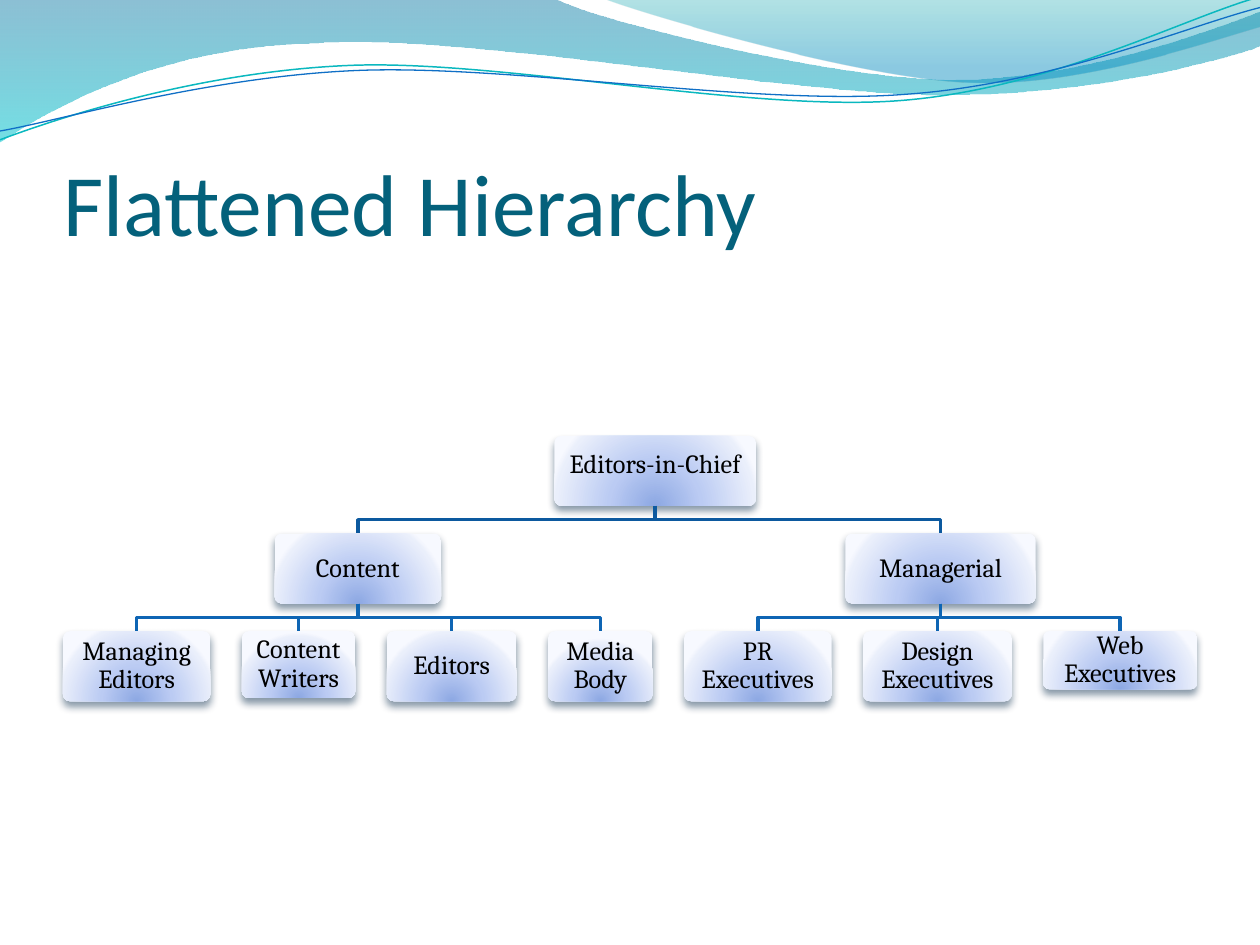
from dataclasses import dataclass

from pptx import Presentation
from pptx.dml.color import RGBColor
from pptx.enum.shapes import MSO_SHAPE as Shape
from pptx.enum.text import MSO_ANCHOR as Anchor, MSO_AUTO_SIZE as AutoSize, PP_ALIGN as Align
from pptx.oxml import parse_xml
from pptx.oxml.ns import nsdecls, qn
from pptx.util import Inches, Pt

SLIDE_W, SLIDE_H = 10, 7.5
MARGIN = SLIDE_W / 20
LEAF_GAP = SLIDE_W / 40
TREE_TOP, ROW_STEP = 3.46, 0.775
BOX_H = 0.555

BLACK = RGBColor(0x00, 0x00, 0x00)
TITLE_TEAL = RGBColor(0x04, 0x61, 0x7B)
SHADOW_NAVY = RGBColor(0x04, 0x27, 0x47)
BRANCH_COLORS = [RGBColor(0x0C, 0x59, 0x9F), RGBColor(0x0E, 0x65, 0xB4)]
TEAL_LINE = RGBColor(0x0A, 0xB8, 0xBF)
BLUE_LINE = RGBColor(0x0F, 0x6F, 0xC6)

BOX_STOPS = [
    (0, RGBColor(0x8D, 0xA8, 0xE3), 100),
    (43, RGBColor(0xBB, 0xCB, 0xF3), 100),
    (93, RGBColor(0xEA, 0xEF, 0xFB), 100),
    (100, RGBColor(0xF7, 0xF9, 0xFF), 100),
]
BOX_GLOW = ('<a:path path="circle"><a:fillToRect l="50000" t="130000" '
            'r="50000" b="-30000"/></a:path>')
DOWNWARD = '<a:lin ang="5400000" scaled="0"/>'

BROAD_STOPS = [(0, RGBColor(0x00, 0x74, 0xA1), 45), (100, RGBColor(0x00, 0xC6, 0xCF), 55)]
BROAD_WAVE = [
    (0, 0), (4.4, -0.01),
    (4.76, 0.17, 6.64, 0.63, 7.58, 0.63), (8.53, 0.63, 9.58, 0.26, 10, 0.09),
    (10.01, 0.36),
    (9.83, 0.44, 8.7, 0.76, 7.46, 0.75), (6.22, 0.75, 3.82, 0.28, 2.57, 0.34),
    (1.29, 0.36, 0.46, 0.83, -0.01, 1.13),
]
CORNER_STOPS = [(0, RGBColor(0x00, 0xA1, 0xA9), 30), (80, RGBColor(0x00, 0x8B, 0xBF), 45)]
CORNER_WAVE = [
    (4.79, -0.01),
    (5.09, 0.11, 6.82, 0.62, 7.69, 0.65), (8.56, 0.69, 9.61, 0.32, 10, 0.21),
    (10, 0),
]
TEAL_WAVE = [
    (0, 1.11),
    (0.48, 0.93, 1.58, 0.57, 2.77, 0.52), (3.95, 0.47, 5.93, 0.89, 7.13, 0.8),
    (8.33, 0.71, 9.38, 0.15, 9.98, -0.02),
]
BLUE_WAVE = [
    (0, 1.04),
    (0.47, 0.96, 1.64, 0.61, 2.83, 0.56), (4.03, 0.51, 5.97, 0.84, 7.17, 0.75),
    (8.36, 0.67, 9.41, 0.21, 10, 0.06),
]


@dataclass
class Role:
    label: str
    width: float
    reports: tuple = ()
    height: float = BOX_H
    inset: float = 0.06
    lift: float = 0
    left: float = 0

    @property
    def center(self):
        return self.left + self.width / 2


def staff_tree():
    content = Role("Content", 1.32, (
        Role("Managing Editors", 1.17), Role("Content Writers", 0.9, height=0.53),
        Role("Editors", 1.03), Role("Media Body", 0.83)))
    managerial = Role("Managerial", 1.51, (
        Role("PR Executives", 1.17), Role("Design Executives", 1.18),
        Role("Web Executives", 1.22, height=0.46)))
    return Role("Editors-in-Chief", 1.6, (content, managerial), inset=0.04, lift=0.09)


def arrange(role, next_left=MARGIN):
    if not role.reports:
        role.left = next_left
        return next_left + role.width + LEAF_GAP
    for report in role.reports:
        next_left = arrange(report, next_left)
    first, last = role.reports[0], role.reports[-1]
    role.left = (first.left + last.left + last.width - role.width) / 2
    return next_left


def set_gradient(shape, stops, direction):
    shape.fill.gradient()
    properties = shape._element.spPr
    stop_xml = "".join(
        f'<a:gs pos="{pos * 1000}"><a:srgbClr val="{color}">'
        f'<a:alpha val="{alpha * 1000}"/></a:srgbClr></a:gs>'
        for pos, color, alpha in stops)
    gradient = parse_xml(f'<a:gradFill {nsdecls("a")} rotWithShape="1">'
                         f'<a:gsLst>{stop_xml}</a:gsLst>{direction}</a:gradFill>')
    properties.replace(properties.find(qn("a:gradFill")), gradient)


def add_drop_shadow(shape):
    effects = shape._element.spPr.find(qn("a:effectLst"))
    effects.append(parse_xml(
        f'<a:outerShdw {nsdecls("a")} blurRad="{Pt(4.5)}" dist="{Pt(3)}" dir="5400000" '
        f'algn="t" rotWithShape="0"><a:srgbClr val="{SHADOW_NAVY}">'
        f'<a:alpha val="48000"/></a:srgbClr></a:outerShdw>'))


def bend_segments(outline, segments):
    lines = list(outline._element.iter(qn("a:lnTo")))
    for line, segment in zip(lines, segments):
        if len(segment) == 2:
            continue
        points = "".join(
            f'<a:pt x="{Inches(x) - outline.left}" y="{Inches(y) - outline.top}"/>'
            for x, y in zip(segment[::2], segment[1::2]))
        curve = parse_xml(f'<a:cubicBezTo {nsdecls("a")}>{points}</a:cubicBezTo>')
        line.getparent().replace(line, curve)


def add_outline(slide, segments, close):
    start, *ends = [(Inches(s[-2]), Inches(s[-1])) for s in segments]
    builder = slide.shapes.build_freeform(*start)
    builder.add_line_segments(ends, close=close)
    outline = builder.convert_to_shape()
    bend_segments(outline, segments[1:])
    outline.shadow.inherit = False
    return outline


def add_wave(slide, segments, stops):
    wave = add_outline(slide, segments, close=True)
    set_gradient(wave, stops, DOWNWARD)
    wave.line.fill.background()


def add_stroke(slide, segments, color, width):
    stroke = add_outline(slide, segments, close=False)
    stroke.fill.background()
    stroke.line.color.rgb = color
    stroke.line.width = Pt(width)


def add_title(slide, text):
    title = slide.shapes.title
    title.left, title.top = Inches(MARGIN), Inches(0.77)
    title.width, title.height = Inches(SLIDE_W - 2 * MARGIN), Inches(SLIDE_H / 6)
    frame = title.text_frame
    frame.text = text
    frame.auto_size = AutoSize.NONE
    frame.vertical_anchor = Anchor.BOTTOM
    frame.margin_left = frame.margin_right = frame.margin_bottom = 0
    frame.margin_top = Inches(0.05)
    paragraph = frame.paragraphs[0]
    paragraph.alignment = Align.LEFT
    paragraph.font.name, paragraph.font.size = "Calibri", Pt(50)
    paragraph.font.color.rgb = TITLE_TEAL


def add_role_box(slide, role, top):
    box = slide.shapes.add_shape(Shape.ROUNDED_RECTANGLE, Inches(role.left), Inches(top),
                                 Inches(role.width), Inches(role.height))
    box.adjustments[0] = 0.1
    box.line.fill.background()
    box.shadow.inherit = False
    set_gradient(box, BOX_STOPS, BOX_GLOW)
    add_drop_shadow(box)
    frame = box.text_frame
    frame.text = role.label
    frame.word_wrap = True
    frame.vertical_anchor = Anchor.MIDDLE
    frame.margin_left = frame.margin_right = frame.margin_top = Inches(role.inset)
    frame.margin_bottom = Inches(role.inset + role.lift)
    paragraph = frame.paragraphs[0]
    paragraph.alignment = Align.CENTER
    paragraph.line_spacing = 0.9
    paragraph.font.name, paragraph.font.size = "Cambria", Pt(15)
    paragraph.font.color.rgb = BLACK


def add_branch(slide, role, level=0):
    top = TREE_TOP + level * ROW_STEP
    add_role_box(slide, role, top)
    bottom, next_top = top + role.height, top + ROW_STEP
    middle = (bottom + next_top) / 2
    for report in role.reports:
        elbow = [(role.center, bottom), (role.center, middle),
                 (report.center, middle), (report.center, next_top)]
        add_stroke(slide, elbow, BRANCH_COLORS[level], 2)
        add_branch(slide, report, level + 1)


def main():
    deck = Presentation()
    deck.slide_width, deck.slide_height = Inches(SLIDE_W), Inches(SLIDE_H)
    slide = deck.slides.add_slide(deck.slide_layouts.get_by_name("Title Only"))
    add_wave(slide, BROAD_WAVE, BROAD_STOPS)
    add_wave(slide, CORNER_WAVE, CORNER_STOPS)
    add_stroke(slide, TEAL_WAVE, TEAL_LINE, 0.85)
    add_stroke(slide, BLUE_WAVE, BLUE_LINE, 0.75)
    add_title(slide, "Flattened Hierarchy")
    chief = staff_tree()
    arrange(chief)
    add_branch(slide, chief)
    deck.save("out.pptx")


if __name__ == "__main__":
    main()
